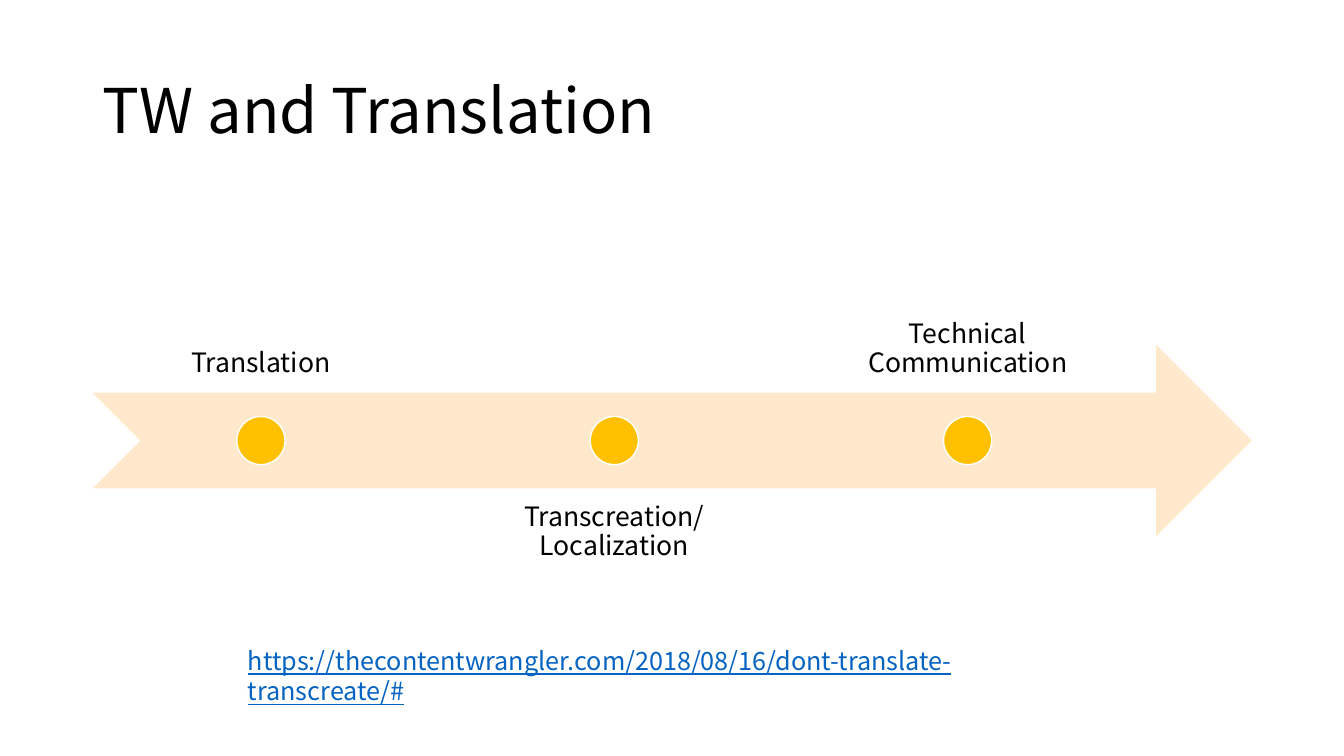
from dataclasses import dataclass

import pptx
import pptx.dml.color
import pptx.enum.shapes
import pptx.enum.text
import pptx.util

Pt = pptx.util.Pt
RGB = pptx.dml.color.RGBColor
SHAPE = pptx.enum.shapes.MSO_SHAPE
ANCHOR = pptx.enum.text.MSO_ANCHOR
ALIGN = pptx.enum.text.PP_ALIGN
AUTO = pptx.enum.text.MSO_AUTO_SIZE


@dataclass(frozen=True)
class Theme:
    font: str = "Noto Sans CJK SC"
    text: RGB = RGB.from_string("000000")
    link: RGB = RGB.from_string("0563C1")
    arrow: RGB = RGB.from_string("FFE8CC")
    dot: RGB = RGB.from_string("FFC000")
    dot_line: RGB = RGB.from_string("FFFFFF")
    title_size: int = 44
    label_size: int = 19
    link_size: int = 18


THEME = Theme()
LEFT, WIDTH = 66.2, 828
ARROW_TOP, ARROW_HEIGHT = 246.3, 136.8
LABEL_WIDTH, LABEL_PITCH = 240.4, 252.4
LABEL_TOPS = {ANCHOR.BOTTOM: 144, ANCHOR.TOP: 349.2}
DOT_SIZE = 34.4
STAGES = ["Translation", "Transcreation/Localization", "Technical Communication"]
LINK = "https://thecontentwrangler.com/2018/08/16/dont-translate-transcreate/#"


def apply(target, values):
    for name, value in values.items():
        setattr(target, name, value)


def place(sp, left, top, width, height):
    apply(sp, dict(left=Pt(left), top=Pt(top), width=Pt(width), height=Pt(height)))


def write(sp, text, size, color=THEME.text, frame=None, para=None, underline=None):
    tf = sp.text_frame
    apply(tf, {"word_wrap": True, **(frame or {})})
    p = tf.paragraphs[0]
    apply(p, para or {})
    r = p.add_run()
    r.text = text
    apply(r.font, dict(name=THEME.font, size=Pt(size), underline=underline))
    r.font.color.rgb = color


def add_filled(shapes, kind, box, fill, line=None):
    sp = shapes.add_shape(kind, *map(Pt, box))
    sp.shadow.inherit = False
    sp.fill.solid()
    sp.fill.fore_color.rgb = fill
    if line is None:
        sp.line.fill.background()
    else:
        sp.line.color.rgb = line
        sp.line.width = Pt(1)


def add_stage(shapes, index, text):
    """Add a label, alternately above and below the arrow, and its dot."""
    anchor = ANCHOR.TOP if index % 2 else ANCHOR.BOTTOM
    left = LEFT + index * LABEL_PITCH
    box = (left, LABEL_TOPS[anchor], LABEL_WIDTH, ARROW_HEIGHT)
    margins = {f"margin_{side}": Pt(10.6) for side in ("left", "top", "right", "bottom")}
    write(shapes.add_textbox(*map(Pt, box)), text, THEME.label_size,
          frame={"vertical_anchor": anchor, **margins},
          para=dict(alignment=ALIGN.CENTER, line_spacing=0.9))
    dot_left = left + (LABEL_WIDTH - DOT_SIZE) / 2
    dot_top = ARROW_TOP + (ARROW_HEIGHT - DOT_SIZE) / 2
    add_filled(shapes, SHAPE.OVAL, (dot_left, dot_top, DOT_SIZE, DOT_SIZE),
               THEME.dot, THEME.dot_line)


def add_timeline(s):
    shapes = s.shapes.add_group_shape().shapes
    add_filled(shapes, SHAPE.NOTCHED_RIGHT_ARROW,
               (LEFT, ARROW_TOP, WIDTH, ARROW_HEIGHT), THEME.arrow)
    for index, text in enumerate(STAGES):
        add_stage(shapes, index, text)


def main():
    prs = pptx.Presentation()
    apply(prs, dict(slide_width=Pt(960), slide_height=Pt(540)))
    s = prs.slides.add_slide(prs.slide_layouts[5])

    place(s.shapes.title, LEFT, 28.8, WIDTH, 104.4)
    write(s.shapes.title, "TW and Translation", THEME.title_size,
          frame=dict(vertical_anchor=ANCHOR.MIDDLE, auto_size=AUTO.NONE),
          para=dict(alignment=ALIGN.LEFT, line_spacing=0.9))

    add_timeline(s)

    link_box = s.shapes.add_textbox(Pt(170), Pt(457.2), Pt(620), Pt(29))
    write(link_box, LINK, THEME.link_size, THEME.link,
          frame=dict(auto_size=AUTO.SHAPE_TO_FIT_TEXT), underline=True)

    prs.save("out.pptx")


if __name__ == "__main__":
    main()
